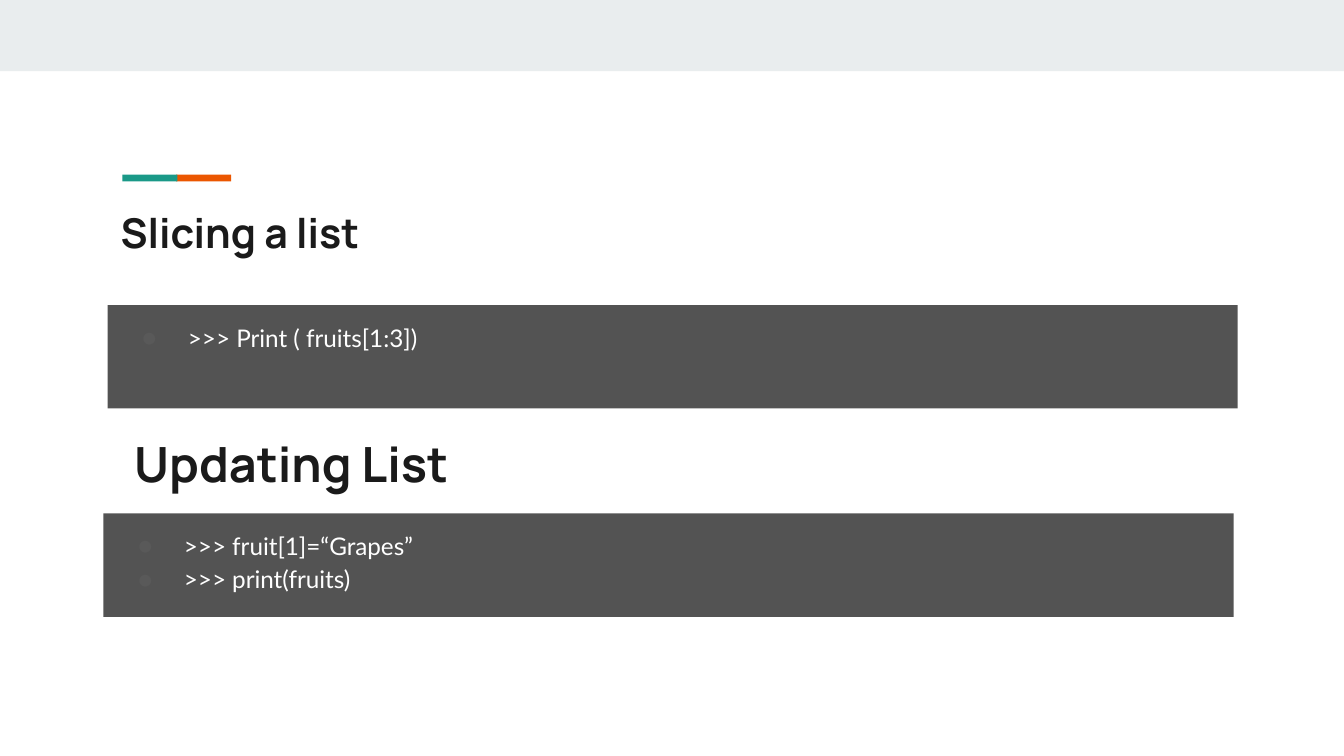
from dataclasses import dataclass

from lxml import etree
from pptx import Presentation
from pptx import util as u
from pptx.dml.color import RGBColor
from pptx.enum import shapes, text
from pptx.oxml.ns import qn


@dataclass(frozen=True)
class Theme:
    band: str = "E9EDEE"
    teal: str = "1A9988"
    orange: str = "EB5600"
    ink: str = "1A1A1A"
    panel: str = "535353"
    bullet: str = "595959"
    code: str = "FFFFFF"
    heading_font: str = "Manrope"
    code_font: str = "Lato"
    title_size: int = 22
    subtitle_size: int = 26
    code_size: int = 13


THEME = Theme()
CONTENT_WIDTH = 8.41
PANEL_HEIGHT = 0.77


def add_block(slide, left, top, width, height, color):
    """Add a plain filled rectangle."""
    block = slide.shapes.add_shape(
        shapes.MSO_SHAPE.RECTANGLE,
        u.Inches(left), u.Inches(top), u.Inches(width), u.Inches(height))
    block.shadow.inherit = False
    block.fill.solid()
    block.fill.fore_color.rgb = RGBColor.from_string(color)
    block.line.fill.background()
    return block


def prepare_frame(frame):
    """Set wrapping, top anchoring and equal insets."""
    frame.word_wrap = True
    frame.vertical_anchor = text.MSO_ANCHOR.TOP
    frame.margin_left = frame.margin_right = u.Inches(0.1)
    frame.margin_top = frame.margin_bottom = u.Inches(0.1)


def style_runs(paragraph, font_name, size, color, bold=False):
    paragraph.alignment = text.PP_ALIGN.LEFT
    for run in paragraph.runs:
        run.font.name = font_name
        run.font.size = u.Pt(size)
        run.font.bold = bold
        run.font.color.rgb = RGBColor.from_string(color)


def add_heading(slide, wording, left, top, height, size):
    heading = slide.shapes.add_textbox(
        u.Inches(left), u.Inches(top), u.Inches(CONTENT_WIDTH), u.Inches(height))
    frame = heading.text_frame
    prepare_frame(frame)
    frame.text = wording
    style_runs(frame.paragraphs[0], THEME.heading_font, size, THEME.ink, bold=True)


def add_bullet(paragraph):
    """Give a paragraph a hanging indent and a round bullet."""
    props = paragraph._p.get_or_add_pPr()
    props.set("marL", str(u.Inches(0.5)))
    props.set("indent", str(u.Inches(-0.34)))
    bullet_color = etree.SubElement(props, qn("a:buClr"))
    etree.SubElement(bullet_color, qn("a:srgbClr"), val=THEME.bullet)
    etree.SubElement(props, qn("a:buFont"), typeface=THEME.code_font)
    etree.SubElement(props, qn("a:buChar"), char="●")


def add_code_panel(slide, code_lines, left, top):
    panel = add_block(slide, left, top, CONTENT_WIDTH, PANEL_HEIGHT, THEME.panel)
    frame = panel.text_frame
    prepare_frame(frame)
    frame.text = "\n".join(code_lines)
    for code_line in frame.paragraphs:
        code_line.line_spacing = 1.15
        style_runs(code_line, THEME.code_font, THEME.code_size, THEME.code)
        add_bullet(code_line)


def main():
    deck = Presentation()
    # Widescreen 16:9
    deck.slide_width = u.Inches(10)
    deck.slide_height = u.Inches(10 * 9 / 16)
    slide = deck.slides.add_slide(deck.slide_layouts[6])

    # Top band and two-colour accent
    add_block(slide, 0, 0, 10, 0.53, THEME.band)
    for left, color in ((1.31, THEME.orange), (0.91, THEME.teal)):
        add_block(slide, left, 1.3, 0.41, 0.05, color)

    # Slicing section
    add_heading(slide, "Slicing a list", 0.8, 1.44, 0.59, THEME.title_size)
    add_code_panel(slide, [">>> Print ( fruits[1:3])"], 0.8, 2.27)

    # Updating section
    add_heading(slide, "Updating List", 0.9, 3.13, 0.63, THEME.subtitle_size)
    add_code_panel(slide, [">>> fruit[1]=“Grapes”", ">>> print(fruits)"], 0.77, 3.82)

    deck.save("out.pptx")


main()
